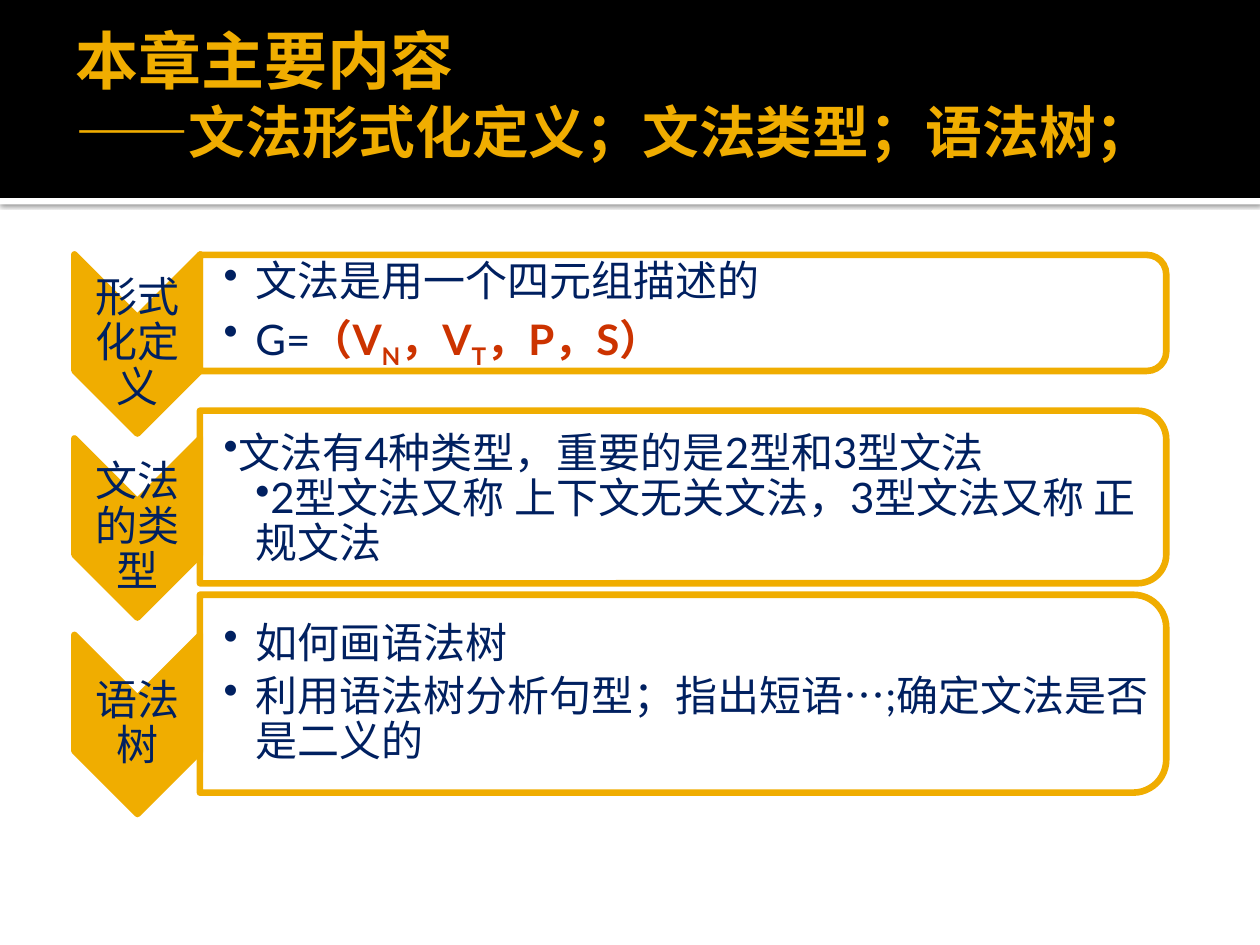
from lxml.etree import SubElement
from pptx import Presentation
from pptx.dml.color import RGBColor
from pptx.enum.shapes import MSO_SHAPE
from pptx.enum.text import MSO_ANCHOR, PP_ALIGN
from pptx.oxml.ns import qn
from pptx.util import Cm, Pt

GOLD = RGBColor(0xF0, 0xAD, 0x00)
NAVY = RGBColor(0x00, 0x20, 0x60)
RED = RGBColor(0xCC, 0x33, 0x00)
BLACK = RGBColor(0x00, 0x00, 0x00)
WHITE = RGBColor(0xFF, 0xFF, 0xFF)


class Deck:
    font = "Lato"
    body_size = 24
    outline = Pt(3.78)

    def __init__(self, width, height):
        self.file = Presentation()
        self.file.slide_width, self.file.slide_height = Cm(width), Cm(height)
        self.slide = self.file.slides.add_slide(self.file.slide_layouts[6])

    def shape(self, kind, left, top, width, height, fill, line=None, turned=False):
        """Place a shape by its visible box; turned shapes rotate by 90 degrees."""
        if turned:
            left, top = left + (width - height) / 2, top + (height - width) / 2
            width, height = height, width
        item = self.slide.shapes.add_shape(kind, Cm(left), Cm(top), Cm(width), Cm(height))
        item.rotation = 90 if turned else 0
        item.shadow.inherit = False
        item.fill.solid()
        item.fill.fore_color.rgb = fill
        if line is None:
            item.line.fill.background()
        else:
            item.line.color.rgb = line
            item.line.width = self.outline
        return item

    def drop_shadow(self, item, blur, distance, opacity):
        effects = item._element.spPr.find(qn("a:effectLst"))
        shadow = SubElement(effects, qn("a:outerShdw"), blurRad=str(Pt(blur)),
                            dist=str(Pt(distance)), dir="5400000", rotWithShape="0")
        color = SubElement(shadow, qn("a:srgbClr"), val=str(BLACK))
        SubElement(color, qn("a:alpha"), val=str(opacity * 1000))

    def opacity(self, item, percent):
        color = item._element.spPr.find(qn("a:solidFill"))[0]
        SubElement(color, qn("a:alpha"), val=str(percent * 1000))

    def text_box(self, left, top, width, height, insets):
        box = self.slide.shapes.add_textbox(Cm(left), Cm(top), Cm(width), Cm(height))
        frame = box.text_frame
        frame.word_wrap = True
        frame.vertical_anchor = MSO_ANCHOR.MIDDLE
        (frame.margin_left, frame.margin_top,
         frame.margin_right, frame.margin_bottom) = map(Cm, insets)
        return frame

    def run(self, paragraph, text, size=body_size, color=NAVY, bold=False, baseline=0):
        run = paragraph.add_run()
        run.text = text
        font = run.font
        font.name, font.size, font.bold = self.font, Pt(size), bold
        font.color.rgb = color
        if baseline:
            font._element.set("baseline", str(baseline * 1000))

    def label(self, left, top, width, height, text):
        paragraph = self.text_box(left, top, width, height, [0.05] * 4).paragraphs[0]
        paragraph.alignment = PP_ALIGN.CENTER
        paragraph.line_spacing = 0.9
        self.run(paragraph, text)

    def bullets(self, left, top, width, height, points):
        frame = self.text_box(left, top, width, height, [0.48, 0.05, 0.05, 0.05])
        for number, (margin, indent, spacing, after, runs) in enumerate(points):
            paragraph = frame.add_paragraph() if number else frame.paragraphs[0]
            paragraph.level = 1
            paragraph.line_spacing = spacing
            paragraph.space_after = Pt(after)
            properties = paragraph._p.get_or_add_pPr()
            properties.set("marL", str(Cm(margin)))
            properties.set("indent", str(Cm(indent)))
            SubElement(properties, qn("a:buChar"), char="•")
            for text, style in runs:
                self.run(paragraph, text, **style)


deck = Deck(25.4, 19.05)

# Header band and title
rule = deck.shape(MSO_SHAPE.RECTANGLE, 0, 3.99, 25.4, 0.13, WHITE)
deck.drop_shadow(rule, 2.5, 0.8, 60)
deck.shape(MSO_SHAPE.RECTANGLE, 0, 0, 25.4, 3.99, BLACK)
title = deck.text_box(1.27, 0.43, 22.86, 2.9, [0.25, 0.13, 0.13, 0.13]).paragraphs[0]
deck.run(title, "本章主要内容", 36, GOLD, True)
title.add_line_break()
deck.run(title, "——文法形式化定义；文法类型；语法树；", 32.4, GOLD, True)

# Chapter topics: label, chevron top, panel top, panel height, points
HANGING = (0.64, -0.64, 0.9, 4.5)
FLUSH = (0, 0, 1, 0)
INDENTED = (0.64, 0, 0.9, 4.5)
STRONG = {"color": RED, "bold": True}
SUBSCRIPT = {**STRONG, "baseline": -25}
TOPICS = [
    ("形式化定义", 5.13, 5.14, 2.34, [
        (*HANGING, [("文法是用一个四元组描述的", {})]),
        (*HANGING, [("G=", {}), ("（V", STRONG), ("N", SUBSCRIPT), ("，V", STRONG),
                    ("T", SUBSCRIPT), ("，P，S）", STRONG)]),
    ]),
    ("文法的类型", 8.84, 8.28, 3.48, [
        (*FLUSH, [("文法有4种类型，重要的是2型和3型文法", {})]),
        (*INDENTED, [("2型文法又称 上下文无关文法，3型文法又称 正规文法", {})]),
    ]),
    ("语法树", 12.8, 11.99, 3.99, [
        (*HANGING, [("如何画语法树", {})]),
        (*HANGING, [("利用语法树分析句型；指出短语…;确定文法是否是二义的", {})]),
    ]),
]
CHEVRON_LEFT, CHEVRON_WIDTH, CHEVRON_HEIGHT = 1.5, 2.54, 3.61
PANEL_LEFT, PANEL_WIDTH = 4.03, 19.48
CORNER_INSET = 0.05  # share of the panel height kept clear of the rounded corners

for name, chevron_top, panel_top, panel_height, points in TOPICS:
    deck.shape(MSO_SHAPE.CHEVRON, CHEVRON_LEFT, chevron_top, CHEVRON_WIDTH,
               CHEVRON_HEIGHT, GOLD, GOLD, turned=True)
    deck.label(CHEVRON_LEFT, chevron_top + CHEVRON_WIDTH / 2, CHEVRON_WIDTH,
               CHEVRON_HEIGHT - CHEVRON_WIDTH, name)
    panel = deck.shape(MSO_SHAPE.ROUND_2_SAME_RECTANGLE, PANEL_LEFT, panel_top,
                       PANEL_WIDTH, panel_height, WHITE, GOLD, turned=True)
    deck.opacity(panel, 90)
    inset = CORNER_INSET * panel_height
    deck.bullets(PANEL_LEFT, panel_top + inset, PANEL_WIDTH - inset,
                 panel_height - 2 * inset, points)

deck.file.save("out.pptx")
